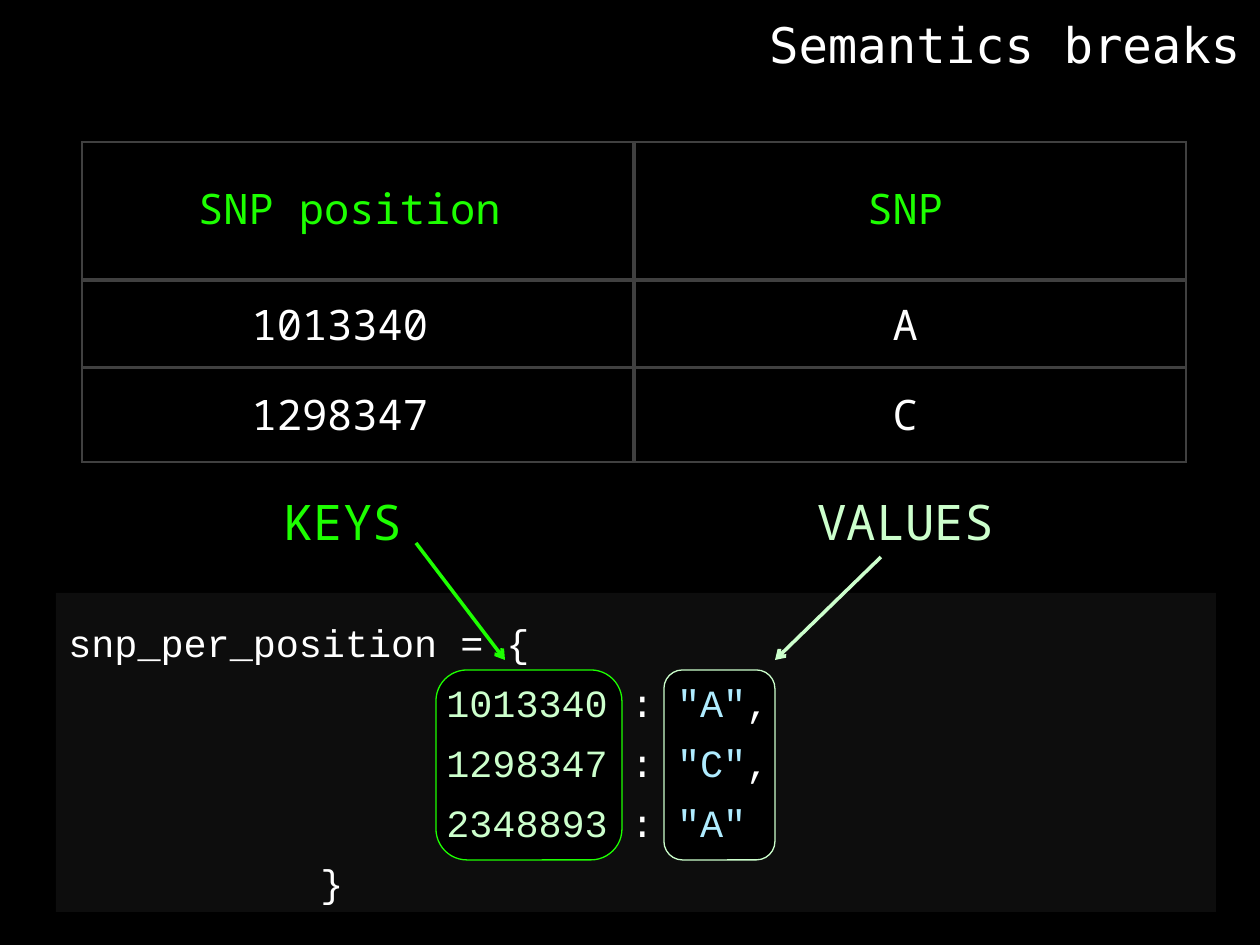
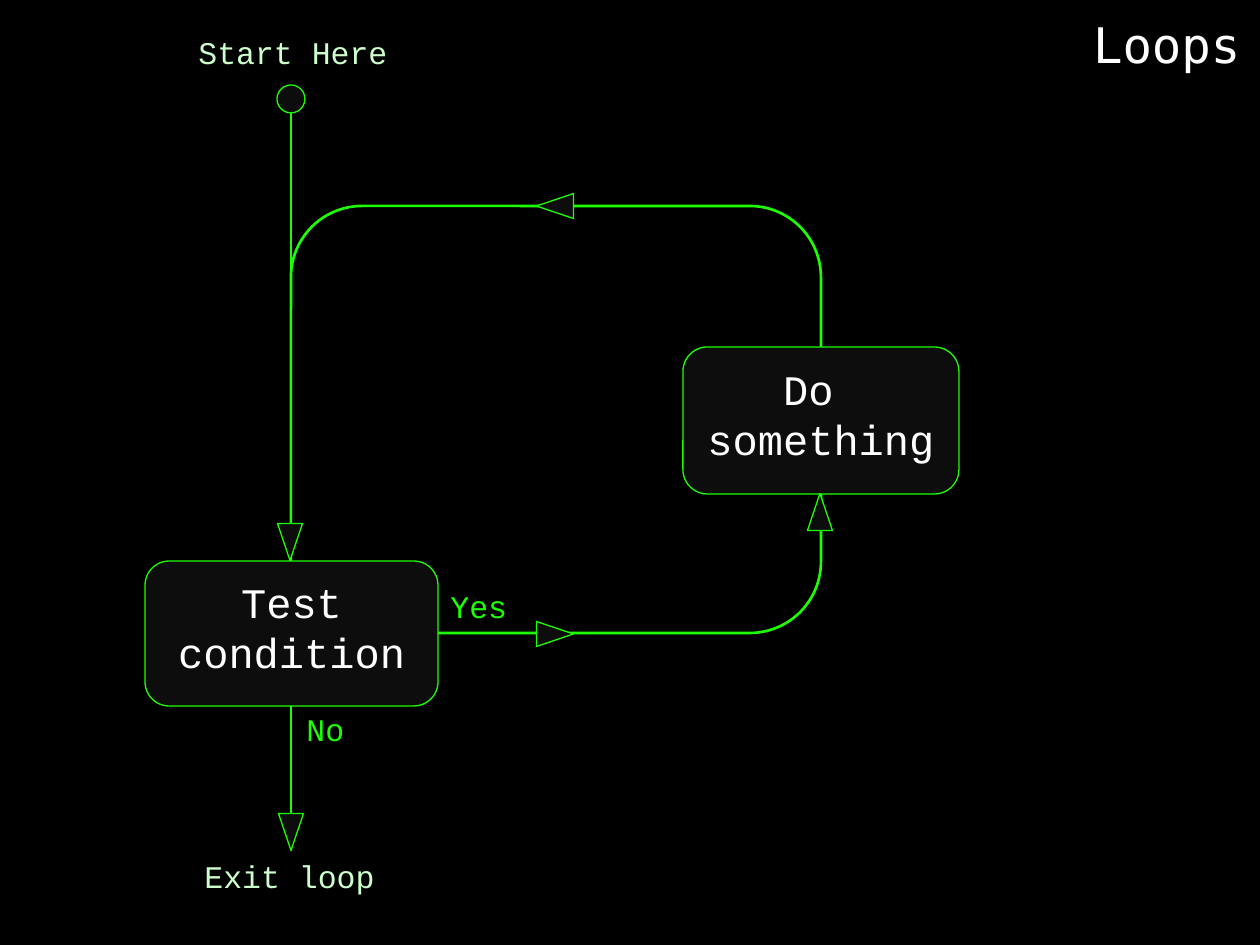
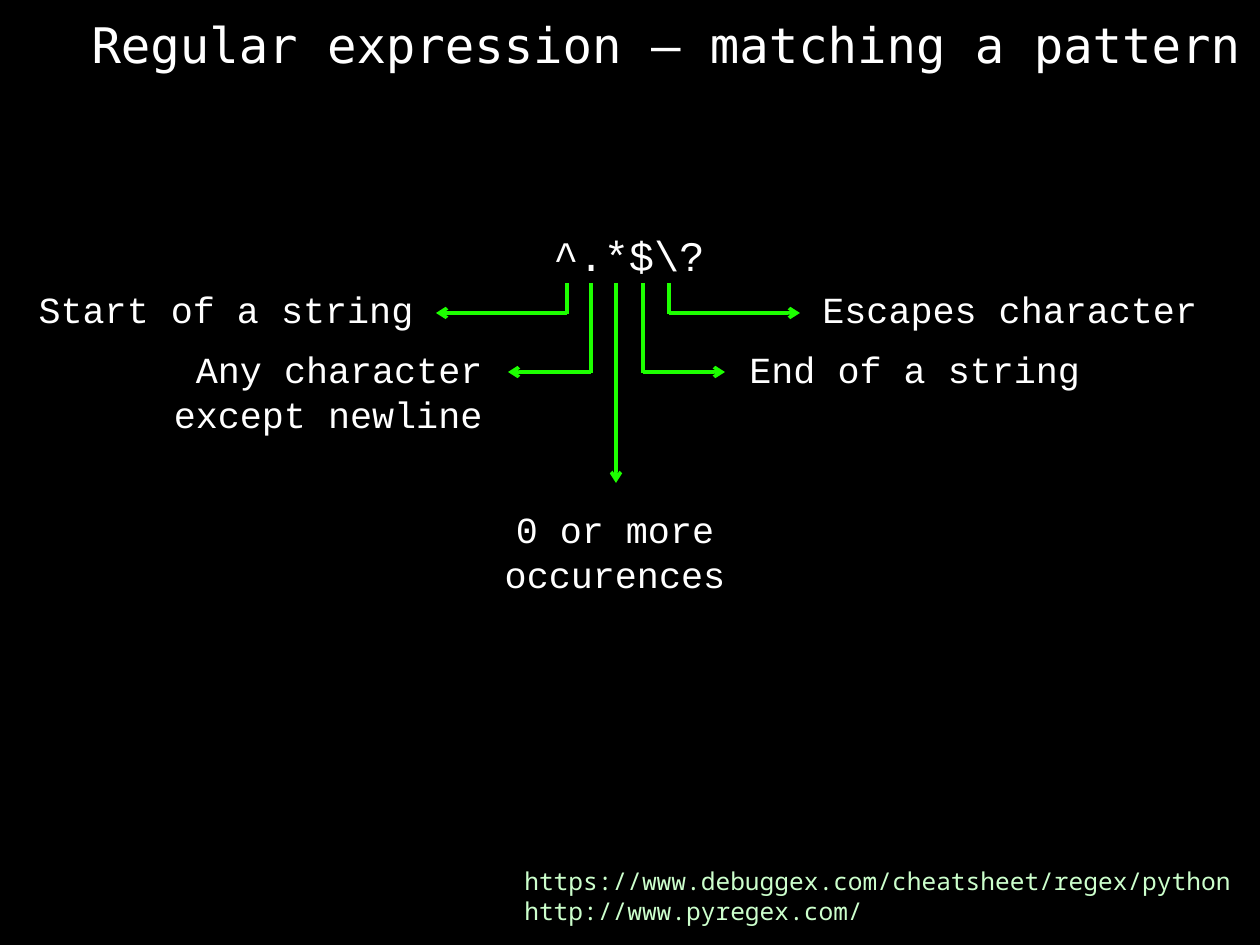
from lxml import etree
from pptx import Presentation
from pptx import util as u
from pptx.dml.color import RGBColor
from pptx.enum import shapes, text
from pptx.oxml.ns import qn

PX = u.Inches(1) / 126
SLIDE_SIZE = (1260, 945)
TITLE_BOX = (0, 8, 1253, 72)
COLORS = {
    "black": "000000", "panel": "0D0D0D", "grid": "404040", "white": "FFFFFF",
    "green": "1DFF00", "pale": "CCFFCC", "string": "AFECFF",
}
TITLE_FONT, LABEL_FONT, CODE_FONT = "DejaVu Sans Mono", "Noto Sans Mono", "Courier New"
LEFT, CENTER, RIGHT = text.PP_ALIGN.LEFT, text.PP_ALIGN.CENTER, text.PP_ALIGN.RIGHT
RECTANGLE = shapes.MSO_SHAPE.RECTANGLE
ROUNDED = shapes.MSO_SHAPE.ROUNDED_RECTANGLE
TRIANGLE = shapes.MSO_SHAPE.ISOSCELES_TRIANGLE
OVAL = shapes.MSO_SHAPE.OVAL

SNP_TABLE = [("SNP position", "SNP"), ("1013340", "A"), ("1298347", "C")]
TABLE_ORIGIN = (82, 142)
COLUMN_WIDTHS, ROW_HEIGHTS = (552, 552), (138, 88, 94)
HEADER_RIGHT_MARGINS, BODY_RIGHT_MARGINS = (30, 22), (49, 22)
BOTTOM_MARGINS = (12, 5, 8)
# word, text box, colour, arrow start, arrow end, code frame
DICT_PARTS = [
    ("VALUES", (805, 485, 204, 72), "pale", (881, 557), (775, 660), (664, 670, 111, 190)),
    ("KEYS", (272, 485, 145, 72), "green", (416, 543), (505, 660), (436, 670, 186, 190)),
]
CODE_PANEL = (56, 593, 1160, 319)
CODE_BOX = (56, 599, 1154, 314)
CODE_TABS = (126, 252, 378)
CODE = [
    "snp_per_position = {",
    [("\t\t\t1013340", "pale"), (" : ", "white"), ('"A"', "string"), (",", "white")],
    [("\t\t\t1298347 ", "pale"), (": ", "white"), ('"C"', "string"), (",", "white")],
    [("\t\t\t2348893", "pale"), (" : ", "white"), ('"A"', "string")],
    "\t\t}",
]

LOOP_TRACK = (291, 206, 530, 427)
ENTRY_LINE = ((291, 98), (291, 814))
START_DOT = (277, 85, 28, 28)
LOOP_STEPS = [
    (["Test condition"], (145, 561, 293, 145)),
    (["Do ", "something"], (683, 347, 276, 147)),
]
# centre and rotation of each arrowhead
ARROWHEADS = [((555, 206), 270), ((290, 542), 180), ((820, 512), 0),
              ((555, 634), 90), ((291, 832), 180)]
ARROWHEAD_SIZE = (25, 37)
LOOP_LABELS = [
    ("Yes", (438, 581, 83, 50), "green"),
    ("No", (294, 704, 63, 50), "green"),
    ("Start Here", (186, 27, 217, 50), "pale"),
    ("Exit loop", (192, 851, 198, 50), "pale"),
]

PATTERN, PATTERN_BOX = "^.*$\\?", (541, 223, 178, 63)
STEM_TOP = 283
# meaning, text box, alignment, stem x, arrow end
PATTERN_MEANINGS = [
    ("Start of a string", (-52, 281, 478, 57), RIGHT, 567, (436, 313)),
    ("Any character except newline", (33, 341, 462, 102), RIGHT, 591, (508, 372)),
    ("0 or more occurences", (404, 501, 422, 102), CENTER, 616, (616, 483)),
    ("End of a string", (737, 341, 422, 59), LEFT, 643, (725, 372)),
    ("Escapes character", (810, 281, 422, 59), LEFT, 669, (800, 313)),
]
SOURCES = ["https://www.debuggex.com/cheatsheet/regex/python", "http://www.pyregex.com/"]
SOURCES_BOX = (512, 860, 741, 72)


def px(*lengths):
    return [u.Emu(round(length * PX)) for length in lengths]


def rgb(name):
    return RGBColor.from_string(COLORS[name])


def add_tab_stops(paragraph, positions):
    stops = etree.SubElement(paragraph._p.get_or_add_pPr(), qn("a:tabLst"))
    for position in px(*positions):
        etree.SubElement(stops, qn("a:tab"), pos=str(position), algn="l")


def write(frame, paragraphs, *, size, font=CODE_FONT, color="white", align=LEFT,
          spacing=None, tabs=(), wrap=True, anchor=text.MSO_ANCHOR.TOP):
    """Fill a text frame; a paragraph is a string or a list of (text, colour) runs."""
    frame.word_wrap = wrap
    frame.auto_size = text.MSO_AUTO_SIZE.NONE
    frame.vertical_anchor = anchor
    for index, content in enumerate(paragraphs):
        paragraph = frame.add_paragraph() if index else frame.paragraphs[0]
        paragraph.alignment = align
        if spacing:
            paragraph.line_spacing = spacing
        if tabs:
            add_tab_stops(paragraph, tabs)
        runs = [(content, color)] if isinstance(content, str) else content
        for words, run_color in runs:
            run = paragraph.add_run()
            run.text = words
            run.font.size, run.font.name, run.font.bold = u.Pt(size), font, False
            run.font.color.rgb = rgb(run_color)


def add_label(slide, box, paragraphs, **style):
    write(slide.shapes.add_textbox(*px(*box)).text_frame, paragraphs, **style)


def add_shape(slide, kind, box, fill="panel", line="green", width=0.75):
    shape = slide.shapes.add_shape(kind, *px(*box))
    shape.shadow.inherit = False
    if fill:
        shape.fill.solid()
        shape.fill.fore_color.rgb = rgb(fill)
    else:
        shape.fill.background()
    if line:
        shape.line.color.rgb = rgb(line)
        shape.line.width = u.Pt(width)
    else:
        shape.line.fill.background()
    return shape


def add_line(slide, start, end, color="green", width=2, arrow=False):
    line = slide.shapes.add_connector(shapes.MSO_CONNECTOR.STRAIGHT, *px(*start, *end))
    line.line.color.rgb = rgb(color)
    line.line.width = u.Pt(width)
    properties = line._element.spPr
    if arrow:
        etree.SubElement(properties.find(qn("a:ln")), qn("a:tailEnd"), type="arrow")
    etree.SubElement(properties, qn("a:effectLst"))


def add_border(cell, side, width):
    line = etree.SubElement(cell._tc.get_or_add_tcPr(), qn(f"a:ln{side}"), w=str(u.Pt(width)))
    fill = etree.SubElement(line, qn("a:solidFill"))
    etree.SubElement(fill, qn("a:srgbClr"), val=COLORS["grid"])


def add_snp_table(slide):
    size = (sum(COLUMN_WIDTHS), sum(ROW_HEIGHTS))
    last_row, last_column = len(SNP_TABLE) - 1, len(COLUMN_WIDTHS) - 1
    table = slide.shapes.add_table(last_row + 1, last_column + 1,
                                   *px(*TABLE_ORIGIN, *size)).table
    table.first_row = table.horz_banding = False
    for column, width in zip(table.columns, px(*COLUMN_WIDTHS)):
        column.width = width
    for row, height in zip(table.rows, px(*ROW_HEIGHTS)):
        row.height = height
    for r, values in enumerate(SNP_TABLE):
        right_margins = BODY_RIGHT_MARGINS if r else HEADER_RIGHT_MARGINS
        for c, value in enumerate(values):
            cell = table.cell(r, c)
            outer = {"L": c == 0, "R": c == last_column, "T": r == 0, "B": r == last_row}
            for side, is_outer in outer.items():
                add_border(cell, side, 1.5 if is_outer else 2)
            cell.fill.background()
            cell.margin_right, cell.margin_bottom = px(right_margins[c], BOTTOM_MARGINS[r])
            write(cell.text_frame, [value], size=24, font=LABEL_FONT, align=CENTER,
                  color="white" if r else "green")
            cell.vertical_anchor = text.MSO_ANCHOR.MIDDLE


def add_titled_slide(presentation, title):
    slide = presentation.slides.add_slide(presentation.slide_layouts[5])
    write(slide.shapes.title.text_frame, [title], size=28, font=TITLE_FONT, align=RIGHT)
    return slide


def build_semantics(presentation):
    slide = add_titled_slide(presentation, "Semantics breaks")
    add_snp_table(slide)
    add_shape(slide, RECTANGLE, CODE_PANEL, line=None)
    for word, box, color, start, end, frame in DICT_PARTS:
        add_label(slide, box, [word], size=28, font=LABEL_FONT, color=color, wrap=False)
        add_shape(slide, ROUNDED, frame, fill="black", line=color)
    add_label(slide, CODE_BOX, CODE, size=22, spacing=1.3, tabs=CODE_TABS)
    for word, box, color, start, end, frame in DICT_PARTS:
        add_line(slide, start, end, color, arrow=True)


def build_loops(presentation):
    slide = add_titled_slide(presentation, "Loops")
    add_shape(slide, ROUNDED, LOOP_TRACK, fill=None, width=1.5)
    add_line(slide, *ENTRY_LINE, width=1.5)
    for words, box in LOOP_STEPS:
        step = add_shape(slide, ROUNDED, box)
        step.text_frame.margin_bottom = px(20)[0]
        write(step.text_frame, words, size=24, align=CENTER, anchor=text.MSO_ANCHOR.MIDDLE)
    add_shape(slide, OVAL, START_DOT)
    width, height = ARROWHEAD_SIZE
    for (x, y), rotation in ARROWHEADS:
        head = add_shape(slide, TRIANGLE, (x - width / 2, y - height / 2, width, height))
        head.rotation = rotation
    for words, box, color in LOOP_LABELS:
        add_label(slide, box, [words], size=18, color=color, wrap=False)


def build_regex(presentation):
    slide = add_titled_slide(presentation, "Regular expression – matching a pattern")
    add_label(slide, PATTERN_BOX, [PATTERN], size=24, wrap=False)
    add_label(slide, SOURCES_BOX, SOURCES, size=14, font=LABEL_FONT, color="pale", wrap=False)
    for meaning, box, align, x, end in PATTERN_MEANINGS:
        corner = (x, end[1])
        if corner == end:
            add_line(slide, (x, STEM_TOP), end, arrow=True)
        else:
            add_line(slide, (x, STEM_TOP), (x, end[1] + 1))
            add_line(slide, corner, end, arrow=True)
        add_label(slide, box, [meaning], size=21, align=align)


def main():
    presentation = Presentation()
    presentation.slide_width, presentation.slide_height = px(*SLIDE_SIZE)
    background = presentation.slide_master.background.fill
    background.solid()
    background.fore_color.rgb = rgb("black")
    title = presentation.slide_layouts[5].placeholders[0]
    title.left, title.top, title.width, title.height = px(*TITLE_BOX)
    build_semantics(presentation)
    build_loops(presentation)
    build_regex(presentation)
    presentation.save("out.pptx")


if __name__ == "__main__":
    main()
